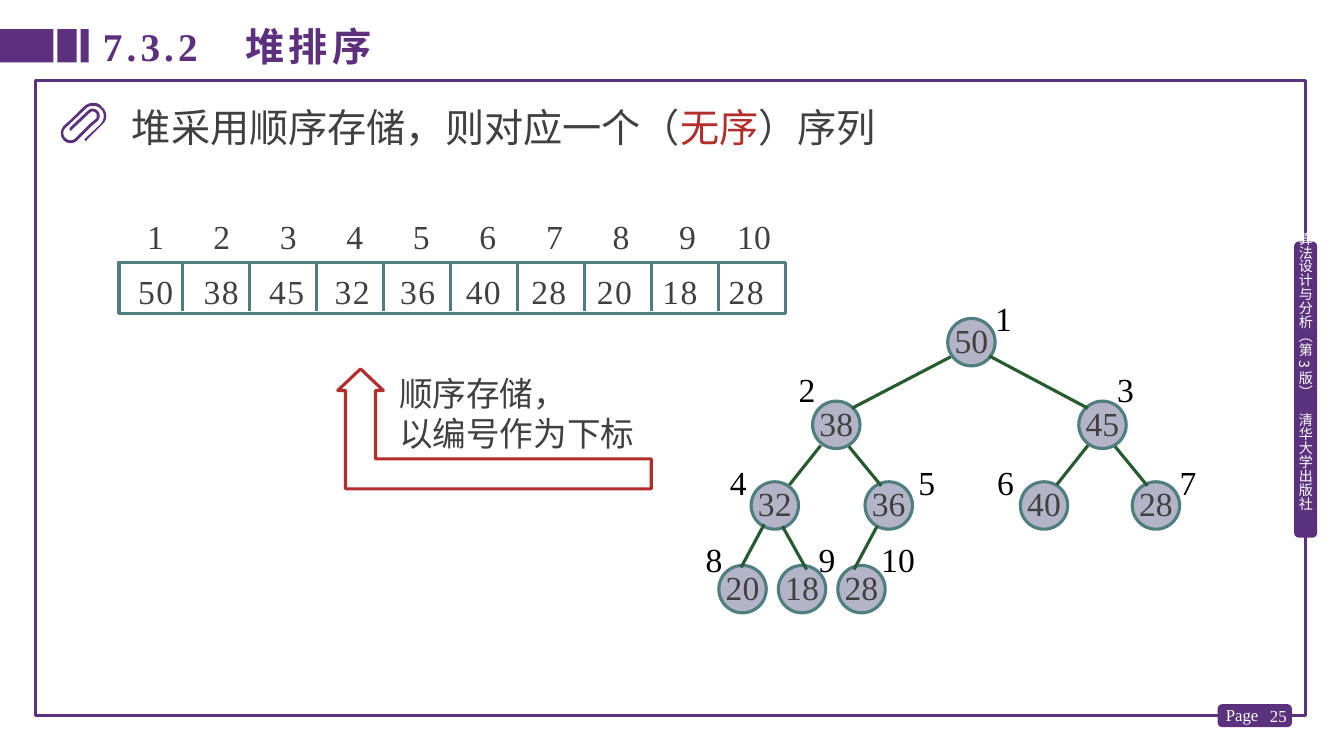
"""Slide on heap sort: a heap in sequential storage beside its tree."""
from lxml import etree
from pptx import Presentation
from pptx import util as u
from pptx.dml.color import RGBColor
from pptx.enum import shapes, text
from pptx.oxml.ns import qn

COLORS = {
    "frame": "5A327D", "bar": "5C307D", "white": "FFFFFF", "black": "000000",
    "ink": "404040", "red": "B42D2D", "teal": "507D7D", "node": "B4B4C8",
    "edge": "285A32",
}
LATIN, EAST_ASIAN = "Times New Roman", "Noto Sans CJK SC"
SHAPE = shapes.MSO_SHAPE
ALIGN = text.PP_ALIGN
NO_INSETS = (0, 0, 0, 0)
SIDE_INSETS = (0.1, 0, 0.1, 0)

HEAP = [
    (50, 9.4, 3.16, 9.87, 2.96, None),
    (38, 8.06, 3.98, 7.92, 3.66, (9.43, 3.54, 8.45, 4.05)),
    (45, 10.7, 3.98, 11.08, 3.66, (9.81, 3.53, 10.79, 4.05)),
    (32, 7.45, 4.78, 7.24, 4.58, (8.14, 4.42, 7.83, 4.81)),
    (36, 8.58, 4.78, 9.11, 4.58, (8.42, 4.43, 8.74, 4.82)),
    (40, 10.12, 4.78, 9.89, 4.58, (10.79, 4.42, 10.48, 4.81)),
    (28, 11.23, 4.78, 11.7, 4.58, (11.06, 4.43, 11.38, 4.82)),
    (20, 7.13, 5.61, 7, 5.35, (7.58, 5.2, 7.35, 5.63)),
    (18, 7.72, 5.61, 8.12, 5.35, (7.76, 5.22, 8, 5.65)),
    (28, 8.31, 5.61, 8.74, 5.35, (8.7, 5.22, 8.47, 5.65)),
]

PAPERCLIP = [
    (1.01, 1.06), (0.99, 1.03, 0.96, 1.02, 0.92, 1.02),
    (0.89, 1.02, 0.85, 1.04, 0.83, 1.06), (0.71, 1.18), (0.63, 1.25),
    (0.6, 1.29, 0.59, 1.35, 0.63, 1.39), (0.65, 1.41, 0.67, 1.42, 0.7, 1.42),
    (0.73, 1.42, 0.75, 1.41, 0.77, 1.39), (0.92, 1.24), (0.97, 1.2),
    (0.98, 1.18, 0.99, 1.17, 0.99, 1.15), (0.99, 1.13, 0.98, 1.11, 0.97, 1.1),
    (0.94, 1.07, 0.9, 1.07, 0.87, 1.1), (0.69, 1.27),
    (0.69, 1.28, 0.69, 1.29, 0.69, 1.29), (0.7, 1.29, 0.7, 1.3, 0.7, 1.3),
    (0.71, 1.3, 0.71, 1.29, 0.71, 1.29), (0.89, 1.12),
    (0.91, 1.1, 0.93, 1.1, 0.95, 1.12), (0.96, 1.13, 0.96, 1.14, 0.96, 1.15),
    (0.96, 1.16, 0.96, 1.17, 0.95, 1.18), (0.89, 1.23), (0.75, 1.37),
    (0.72, 1.4, 0.68, 1.4, 0.65, 1.37), (0.62, 1.34, 0.62, 1.3, 0.65, 1.27),
    (0.66, 1.26), (0.85, 1.08), (0.87, 1.06, 0.89, 1.05, 0.92, 1.05),
    (0.95, 1.05, 0.98, 1.06, 1, 1.08), (1.04, 1.12, 1.04, 1.18, 1, 1.23),
    (0.84, 1.38), (0.84, 1.38, 0.84, 1.39, 0.84, 1.39),
    (0.85, 1.4, 0.85, 1.4, 0.85, 1.4), (0.86, 1.4, 0.86, 1.4, 0.86, 1.39),
    (1.01, 1.24), (1.07, 1.19, 1.07, 1.11, 1.01, 1.06),
]


def rgb(color):
    return RGBColor.from_string(COLORS[color])


def trace(outline, steps=6):
    points = [outline[0]]
    for side in outline[1:]:
        if len(side) == 2:
            points.append(side)
            continue
        start, (ax, ay, bx, by, ex, ey) = points[-1], side
        for step in range(1, steps + 1):
            t = step / steps
            points.append(tuple(
                (1 - t) ** 3 * s + 3 * t * (1 - t) ** 2 * a + 3 * t * t * (1 - t) * b + t ** 3 * e
                for s, a, b, e in zip(start, (ax, ay), (bx, by), (ex, ey))))
    return [(u.Inches(x), u.Inches(y)) for x, y in points]


class Board:
    def __init__(self, slide):
        self.slide = slide

    def paint(self, shape, fill=None, line=None, width=2.25):
        shape.shadow.inherit = False
        if fill:
            shape.fill.solid()
            shape.fill.fore_color.rgb = rgb(fill)
        else:
            shape.fill.background()
        if line:
            shape.line.color.rgb = rgb(line)
            shape.line.width = u.Pt(width)
        else:
            shape.line.fill.background()
        return shape

    def shape(self, kind, box, **look):
        return self.paint(self.slide.shapes.add_shape(kind, *map(u.Inches, box)), **look)

    def outline(self, sides, **look):
        points = trace(sides)
        builder = self.slide.shapes.build_freeform(*points[0])
        builder.add_line_segments(points[1:], close=True)
        return self.paint(builder.convert_to_shape(), **look)

    def line(self, x1, y1, x2, y2, color):
        link = self.slide.shapes.add_connector(
            shapes.MSO_CONNECTOR.STRAIGHT, *map(u.Inches, (x1, y1, x2, y2)))
        link.line.color.rgb = rgb(color)
        link.line.width = u.Pt(2.25)
        etree.SubElement(link.element.spPr, qn("a:effectLst"))

    def label(self, shape, lines, size=24, color="ink", font=LATIN, bold=False, spacing=0,
              insets=(0.1, 0.05, 0.1, 0.05), tabs=(), frame=None, paragraph=None):
        sides = zip(("left", "top", "right", "bottom"), insets)
        settings = {"word_wrap": True, "auto_size": text.MSO_AUTO_SIZE.NONE,
                    "vertical_anchor": text.MSO_ANCHOR.TOP,
                    **{f"margin_{side}": u.Inches(gap) for side, gap in sides}, **(frame or {})}
        body = shape.text_frame
        for key, value in settings.items():
            setattr(body, key, value)
        for number, line in enumerate(lines):
            row = body.add_paragraph() if number else body.paragraphs[0]
            if tabs:
                stops = etree.SubElement(row._p.get_or_add_pPr(), qn("a:tabLst"))
                for place in tabs:
                    etree.SubElement(stops, qn("a:tab"), pos=str(u.Inches(place)), algn="ctr")
            for key, value in {"alignment": ALIGN.LEFT, **(paragraph or {})}.items():
                setattr(row, key, value)
            for words, tint in [(line, color)] if isinstance(line, str) else line:
                run = row.add_run()
                run.text = words
                for key, value in {"size": u.Pt(size), "bold": bold, "name": font}.items():
                    setattr(run.font, key, value)
                run.font.color.rgb = rgb(tint)
                properties = run._r.get_or_add_rPr()
                properties.set("spc", str(spacing * 100))
                etree.SubElement(properties, qn("a:ea"), typeface=EAST_ASIAN)
        return shape

    def text(self, box, lines, **style):
        return self.label(self.slide.shapes.add_textbox(*map(u.Inches, box)), lines, **style)

    def title(self, box, words, **style):
        heading = self.slide.shapes.title
        for key, value in zip(("left", "top", "width", "height"), box):
            setattr(heading, key, u.Inches(value))
        self.label(heading, [words], **style)


def draw_frame(board):
    board.shape(SHAPE.RECTANGLE, (0.35, 0.8, 12.6, 6.3), line="frame")
    board.shape(SHAPE.ROUNDED_RECTANGLE, (12.09, 7, 0.71, 0.2), fill="frame", line="bar", width=2)
    board.text((12.45, 6.9, 0.41, 0.4), ["25"], size=12, color="white",
               frame={"vertical_anchor": text.MSO_ANCHOR.MIDDLE},
               paragraph={"alignment": ALIGN.RIGHT})
    board.text((12.06, 6.94, 0.53, 0.31), ["Page"], size=12, color="white",
               frame={"word_wrap": False})
    for left, width in ((0, 0.53), (0.57, 0.19), (0.8, 0.08)):
        board.shape(SHAPE.RECTANGLE, (left, 0.29, width, 0.33), fill="bar")
    board.shape(SHAPE.ROUNDED_RECTANGLE, (12.85, 2.41, 0.2, 2.91),
                fill="frame", line="bar", width=2)
    spine = board.text((12.86, 2.3, 0.17, 3.14), ["算法设计与分析（第 3 版）　清华大学出版社"],
                       size=10, color="white", font=EAST_ASIAN, insets=NO_INSETS)
    spine.text_frame._txBody.bodyPr.set("vert", "eaVert")
    board.title((0.92, 0.17, 8.65, 0.57), "7.3.2　堆排序", size=28, color="bar", bold=True,
                spacing=3, frame={"vertical_anchor": text.MSO_ANCHOR.MIDDLE})


def draw_tree(board):
    for value, left, top, *_ in HEAP:
        node = board.shape(SHAPE.OVAL, (left, top, 0.47, 0.47), fill="node", line="teal")
        board.label(node, [str(value)], insets=NO_INSETS, frame={"word_wrap": False},
                    paragraph={"alignment": ALIGN.CENTER, "line_spacing": u.Pt(25)})
    for number, (*_, left, top, edge) in enumerate(HEAP, 1):
        if edge:
            board.line(*edge, "edge")
        board.text((left, top, 0.24 if number < 10 else 0.41, 0.4), [str(number)],
                   color="black", insets=NO_INSETS)


def draw_array(board):
    count = len(HEAP)
    cells = board.shape(SHAPE.RECTANGLE, (1.18, 2.6, 6.61, 0.51), line="teal")
    board.label(cells, ["\t".join(str(node[0]) for node in HEAP)], spacing=1,
                insets=(0.19, 0, 0, 0), tabs=[0.18 + 0.65 * i for i in range(1, count)],
                paragraph={"line_spacing": u.Pt(35)})
    for i in range(count - 1):
        x = 1.81 + 0.665 * i
        board.line(x, 2.6, x, 3.09, "teal")
    board.text((1.36, 2.14, 6.51, 0.4), ["\t".join(map(str, range(1, count + 1)))],
               insets=SIDE_INSETS, tabs=[0.08 + 0.66 * i for i in range(1, count)])
    arrow = board.shape(SHAPE.BENT_UP_ARROW, (3.35, 3.66, 3.11, 1.19), line="red")
    arrow.element.spPr.find(qn("a:xfrm")).set("flipH", "1")
    for i, ratio in enumerate((0.25, 0.19, 0.18)):
        arrow.adjustments[i] = ratio
    board.text((3.86, 3.7, 2.87, 0.81), ["顺序存储，", "以编号作为下标"], insets=SIDE_INSETS)


def main():
    deck = Presentation()
    deck.slide_width, deck.slide_height = u.Inches(13.33), u.Inches(7.5)
    board = Board(deck.slides.add_slide(deck.slide_layouts.get_by_name("Title Only")))
    draw_frame(board)
    draw_tree(board)
    board.text((1.21, 0.89, 8.35, 0.66),
               [[("堆采用顺序存储，则对应一个（", "ink"), ("无序", "red"), ("）序列", "ink")]],
               size=28, paragraph={"line_spacing": u.Pt(40)})
    board.outline(PAPERCLIP, fill="frame")
    draw_array(board)
    deck.save("out.pptx")


if __name__ == "__main__":
    main()
